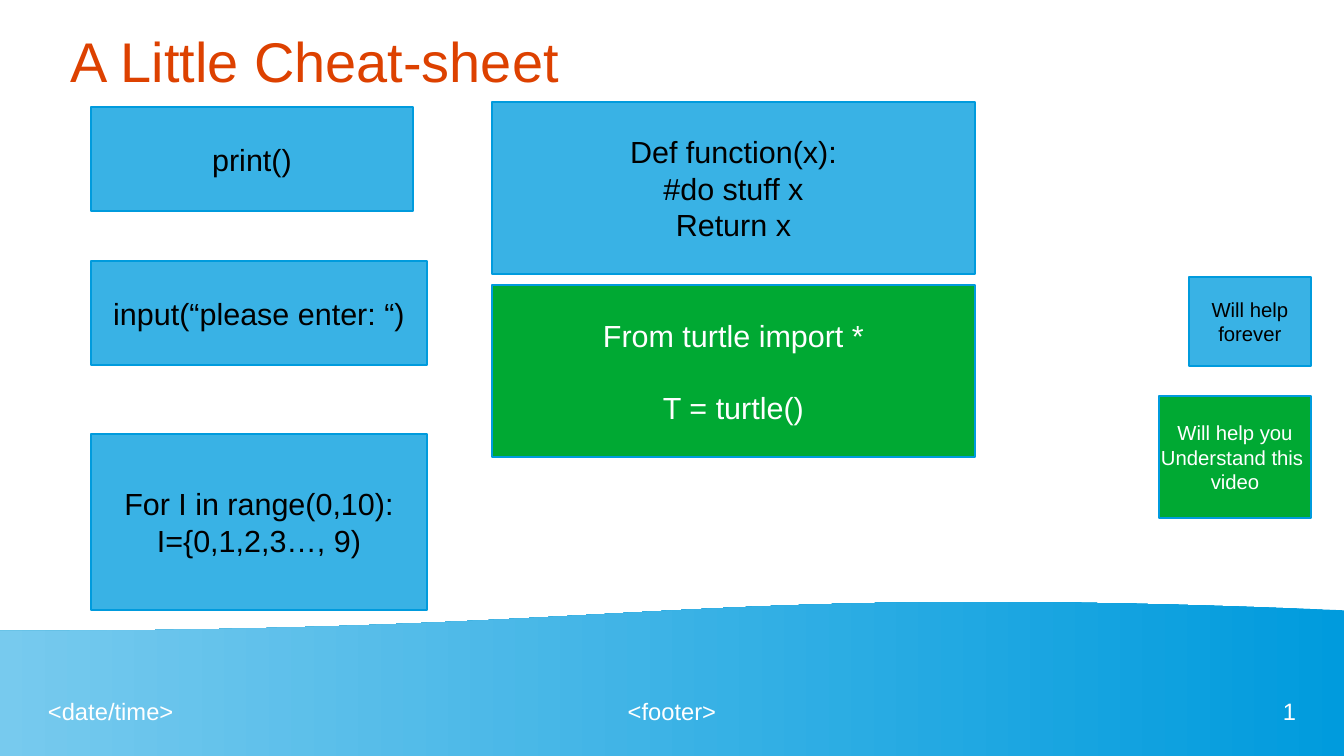
from pptx import Presentation
from pptx.dml.color import RGBColor
from pptx.enum.shapes import MSO_SHAPE
from pptx.enum.text import MSO_ANCHOR, PP_ALIGN
from pptx.util import Pt

PX = 914400 // 122
WIDTH, HEIGHT = 1344, 756
FONT = "Arial"
BLUE, GREEN, EDGE, PALE = "39B2E5", "00A933", "009BDD", "77CAEE"
BLACK, WHITE, ORANGE = "000000", "FFFFFF", "DD4100"
LEFT, CENTER, RIGHT = PP_ALIGN.LEFT, PP_ALIGN.CENTER, PP_ALIGN.RIGHT

TITLE = ("A Little Cheat-sheet", (20, 29, 590, 62))
WAVE = (0, 600, WIDTH, 156)
FOOTERS = [
    ("<date/time>", (48, 697, 312, 48), LEFT),
    ("<footer>", (456, 697, 432, 48), CENTER),
    ("1", (984, 697, 312, 48), RIGHT),
]
# lines, box, fill, text colour, size, gap in points before the last line
CARDS = [
    (["print()"], (91, 107, 322, 104), BLUE, BLACK, 18, 0),
    (["input(“please enter: “)"], (91, 261, 336, 104), BLUE, BLACK, 18, 0),
    (["For I in range(0,10):", "I={0,1,2,3…, 9)"], (91, 434, 336, 176), BLUE, BLACK, 18, 0),
    (["Def function(x):", "#do stuff x", "Return x"], (492, 102, 483, 172), BLUE, BLACK, 18, 0),
    (["From turtle import *", "T = turtle()"], (492, 285, 483, 172), GREEN, WHITE, 18, 21),
    (["Will help", "forever"], (1189, 277, 122, 89), BLUE, BLACK, 12, 0),
    (["Will help you", "Understand this ", "video"], (1159, 396, 152, 122), GREEN, WHITE, 12, 0),
]


def rgb(color):
    return RGBColor.from_string(color)


def emu(box):
    return [v * PX for v in box]


def write(tf, lines, size, color, align):
    for i, line in enumerate(lines):
        p = tf.paragraphs[0] if i == 0 else tf.add_paragraph()
        p.text = line
        p.alignment = align
        p.font.name, p.font.size = FONT, Pt(size)
        p.font.color.rgb = rgb(color)
    return p


def add_label(s, text, box, size, color, align, anchor=MSO_ANCHOR.TOP):
    tf = s.shapes.add_textbox(*emu(box)).text_frame
    tf.word_wrap = True
    tf.margin_left = tf.margin_right = tf.margin_top = tf.margin_bottom = 0
    tf.vertical_anchor = anchor
    write(tf, [text], size, color, align)


def add_wave(s):
    sp = s.shapes.add_shape(MSO_SHAPE.FLOWCHART_DOCUMENT, *emu(WAVE))
    sp.shadow.inherit = False
    sp.rotation = 180
    sp.line.fill.background()
    sp.fill.gradient()
    sp.fill.gradient_angle = 0
    for stop, color in zip(sp.fill.gradient_stops, (EDGE, PALE)):
        stop.color.rgb = rgb(color)


def add_card(s, lines, box, fill, color, size, gap):
    sp = s.shapes.add_shape(MSO_SHAPE.RECTANGLE, *emu(box))
    sp.shadow.inherit = False
    sp.fill.solid()
    sp.fill.fore_color.rgb = rgb(fill)
    sp.line.color.rgb = rgb(EDGE)
    sp.line.width = Pt(1.42)
    tf = sp.text_frame
    tf.word_wrap = False
    tf.vertical_anchor = MSO_ANCHOR.MIDDLE
    last = write(tf, lines, size, color, CENTER)
    if gap:
        last.space_before = Pt(gap)


prs = Presentation()
prs.slide_width, prs.slide_height = WIDTH * PX, HEIGHT * PX
s = prs.slides.add_slide(prs.slide_layouts[6])

add_wave(s)
for text, box, align in FOOTERS:
    add_label(s, text, box, 14, WHITE, align)
add_label(s, *TITLE, 33, ORANGE, CENTER, MSO_ANCHOR.MIDDLE)
for card in CARDS:
    add_card(s, *card)

prs.save("out.pptx")
